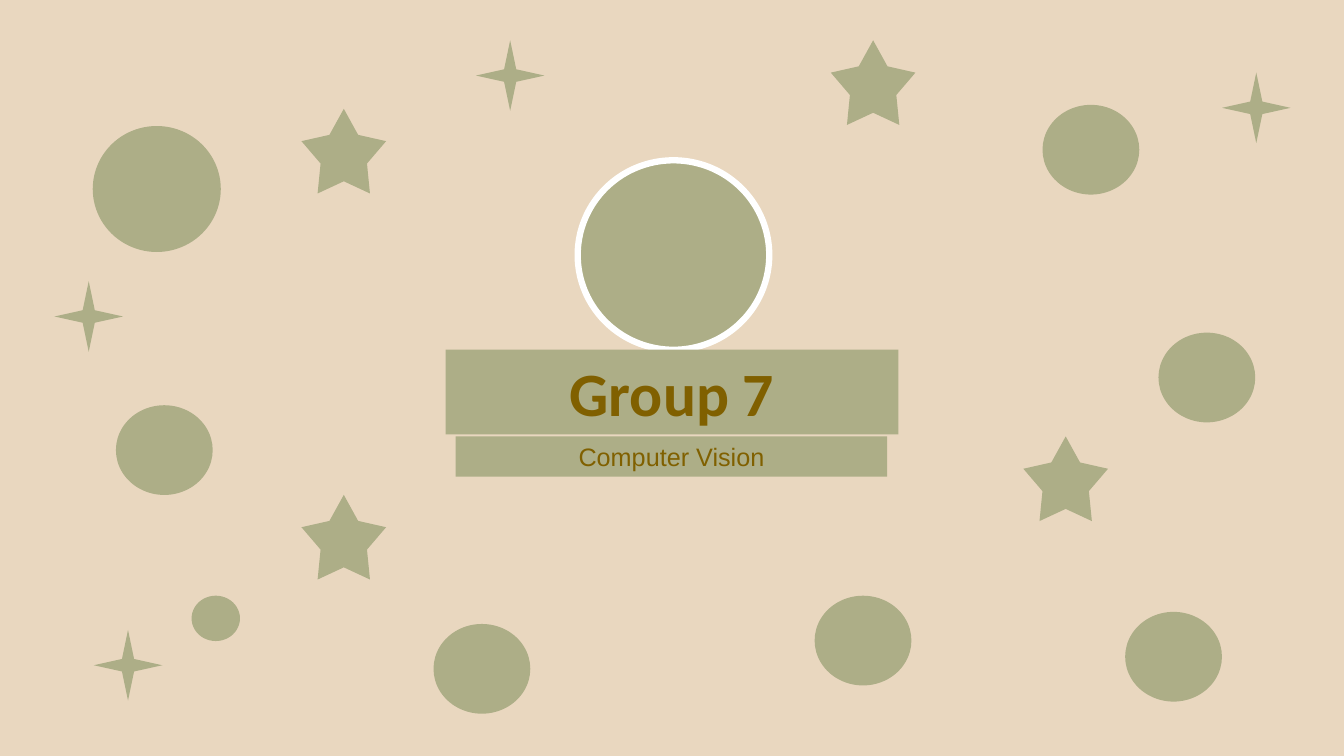
from pptx import Presentation
from pptx import util as u
from pptx.dml.color import RGBColor
from pptx.enum import shapes, text

SAND = RGBColor(0xE9, 0xD7, 0xBF)
SAGE = RGBColor(0xAD, 0xAE, 0x87)
BRONZE = RGBColor(0x80, 0x60, 0x00)
WHITE = RGBColor(0xFF, 0xFF, 0xFF)
KIND = shapes.MSO_SHAPE

deck = Presentation()
deck.slide_width = u.Inches(13.33)
deck.slide_height = u.Inches(7.5)
page = deck.slides.add_slide(deck.slide_layouts[6])


def add_figure(kind, left, top, width, height, color=SAGE):
    figure = page.shapes.add_shape(
        kind, u.Inches(left), u.Inches(top), u.Inches(width), u.Inches(height))
    figure.shadow.inherit = False
    figure.fill.solid()
    figure.fill.fore_color.rgb = color
    figure.line.fill.background()
    return figure


add_figure(KIND.RECTANGLE, 0, 0, 13.33, 7.5, SAND)

medallion = add_figure(KIND.OVAL, 5.73, 1.59, 1.9, 1.88)
medallion.line.color.rgb = WHITE
medallion.line.width = u.Pt(4.5)

banners = [
    ("Group 7", 4.42, 3.47, 4.49, 0.84, "Calibri", 44, True),
    ("Computer Vision", 4.52, 4.33, 4.28, 0.4, "Arial", 18, False),
]
for wording, left, top, width, height, font_name, size, bold in banners:
    box = add_figure(KIND.RECTANGLE, left, top, width, height)
    frame = box.text_frame
    frame.word_wrap = True
    frame.auto_size = text.MSO_AUTO_SIZE.SHAPE_TO_FIT_TEXT
    frame.vertical_anchor = text.MSO_ANCHOR.MIDDLE
    para = frame.paragraphs[0]
    para.alignment = text.PP_ALIGN.CENTER
    span = para.add_run()
    span.text = wording
    span.font.name = font_name
    span.font.size = u.Pt(size)
    span.font.bold = bold
    span.font.color.rgb = BRONZE

add_figure(KIND.OVAL, 0.92, 1.25, 1.27, 1.25)
add_figure(KIND.OVAL, 1.9, 5.91, 0.48, 0.45)

scatter = [
    (KIND.OVAL, 0.96, 0.89, None,
     [(11.16, 6.07), (4.3, 6.19), (10.34, 1.04),
      (8.08, 5.91), (1.15, 4.02), (11.49, 3.3)]),
    (KIND.STAR_4_POINT, 0.68, 0.7, 0.125,
     [(0.93, 6.25), (12.12, 0.72), (0.54, 2.79), (4.72, 0.4)]),
    (KIND.STAR_5_POINT, 0.84, 0.84, 0.274,
     [(2.99, 1.08), (10.15, 4.33), (8.24, 0.4), (2.99, 4.91)]),
]
for kind, width, height, inner_radius, corners in scatter:
    for left, top in corners:
        ornament = add_figure(kind, left, top, width, height)
        if inner_radius is not None:
            ornament.adjustments[0] = inner_radius

deck.save("out.pptx")
